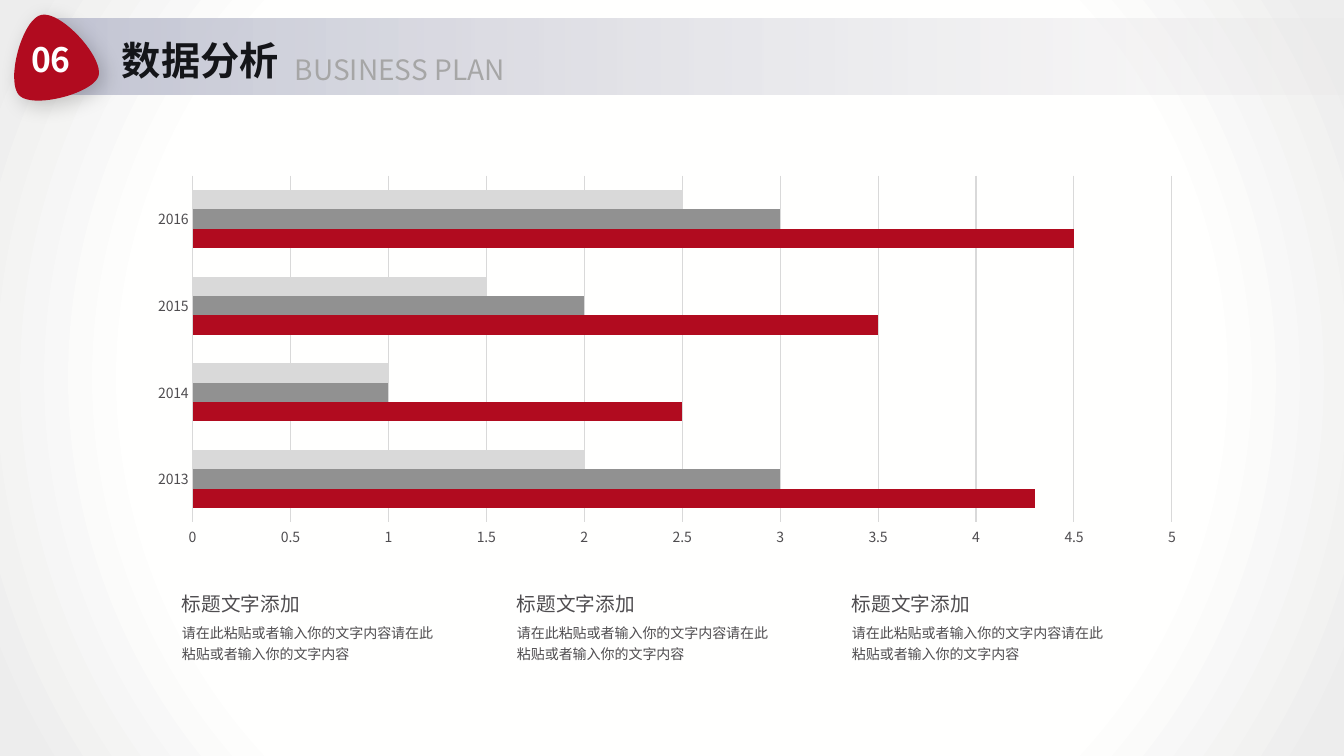
from math import cos, radians, sin

from lxml.etree import SubElement
from pptx import Presentation
from pptx.chart.data import CategoryChartData
from pptx.dml.color import RGBColor
from pptx.enum.chart import XL_CHART_TYPE as ChartType, XL_TICK_MARK as Tick
from pptx.enum.shapes import MSO_SHAPE as Shape
from pptx.enum.text import MSO_AUTO_SIZE as AutoSize, PP_ALIGN as Align
from pptx.oxml.ns import qn
from pptx.util import Emu, Pt

WIDTH, HEIGHT = 1344, 756
SCALE = 12192000 / WIDTH
RED, GREY, SILVER, TEXT = "B10B1F", "919191", "D9D9D9", "4F4D50"


def px(value):
    return Emu(round(value * SCALE))


def rgb(value):
    return RGBColor.from_string(value)


def add_node(parent, tag, **attributes):
    return SubElement(parent, qn(tag), {key: str(value) for key, value in attributes.items()})


def add_color(parent, value, alpha):
    color = add_node(parent, "a:srgbClr", val=value)
    if alpha < 100:
        add_node(color, "a:alpha", val=alpha * 1000)


def cubic(start, first, second, end, steps=24):
    for step in range(1, steps + 1):
        t = step / steps
        weights = ((1 - t) ** 3, 3 * t * (1 - t) ** 2, 3 * t * t * (1 - t), t ** 3)
        yield tuple(
            sum(weight * point[axis] for weight, point in zip(weights, (start, first, second, end)))
            for axis in (0, 1)
        )


class SlideBuilder:
    font_name = "Noto Sans CJK SC"

    def __init__(self, deck):
        self.page = deck.slides.add_slide(deck.slide_layouts[6])
        self.shapes = self.page.shapes

    def style(self, font, size, color, bold=False):
        formats = {"name": self.font_name, "size": Pt(size), "bold": bold}
        for name, value in formats.items():
            setattr(font, name, value)
        font.color.rgb = rgb(color)

    def gradient(self, left, top, width, height, stops, radial=False):
        shape = self.shapes.add_shape(Shape.RECTANGLE, *map(px, (left, top, width, height)))
        shape.shadow.inherit = False
        shape.line.fill.background()
        shape.fill.gradient()
        fill = shape._element.spPr.find(qn("a:gradFill"))
        for child in list(fill):
            fill.remove(child)
        stop_list = add_node(fill, "a:gsLst")
        for position, color, alpha in stops:
            add_color(add_node(stop_list, "a:gs", pos=position * 1000), color, alpha)
        if radial:
            route = add_node(fill, "a:path", path="circle")
            add_node(route, "a:fillToRect", l=50000, t=50000, r=50000, b=50000)
        else:
            add_node(fill, "a:lin", ang=0, scaled=0)

    def text(self, left, top, width, height, words, size, color, bold=False,
             align=Align.LEFT, spacing=1.0, wrap=False):
        box = self.shapes.add_textbox(*map(px, (left, top, width, height)))
        frame = box.text_frame
        frame.word_wrap = wrap
        frame.auto_size = AutoSize.NONE if wrap else AutoSize.SHAPE_TO_FIT_TEXT
        para = frame.paragraphs[0]
        for name, value in {"alignment": align, "line_spacing": spacing}.items():
            setattr(para, name, value)
        span = para.add_run()
        span.text = words
        self.style(span.font, size, color, bold)
        add_node(span.font._element, "a:ea", typeface=self.font_name)

    def bar_chart(self, left, top, width, height, categories, series):
        data = CategoryChartData()
        data.categories = categories
        for name, values, _ in series:
            data.add_series(name, values)
        box = map(px, (left, top, width, height))
        chart = self.shapes.add_chart(ChartType.BAR_CLUSTERED, *box, data).chart
        chart.has_title = chart.has_legend = False
        self.style(chart.font, 10, TEXT)
        plot = chart.plots[0]
        for name, value in {"gap_width": 150, "overlap": 0, "vary_by_categories": False}.items():
            setattr(plot, name, value)
        for bars, (_, _, color) in zip(plot.series, series):
            bars.format.fill.solid()
            bars.format.fill.fore_color.rgb = rgb(color)
        for axis in (chart.category_axis, chart.value_axis):
            axis.major_tick_mark = axis.minor_tick_mark = Tick.NONE
            axis.format.line.fill.background()
        scale = {"minimum_scale": 0, "maximum_scale": 5, "major_unit": 0.5}
        for name, value in scale.items():
            setattr(chart.value_axis, name, value)
        chart.category_axis.has_major_gridlines = False
        grid = chart.value_axis.major_gridlines.format.line
        grid.color.rgb = rgb(SILVER)
        grid.width = Pt(0.75)

    def badge(self, start, curves, center, turn, color):
        outline = [start]
        for curve in curves:
            outline.extend(cubic(outline[-1], *curve))
        angle = radians(turn)
        points = []
        for x, y in outline:
            dx, dy = x - center[0], y - center[1]
            points.append((px(center[0] + dx * cos(angle) - dy * sin(angle)),
                           px(center[1] + dx * sin(angle) + dy * cos(angle))))
        builder = self.shapes.build_freeform(*points[0])
        builder.add_line_segments(points[1:], close=True)
        shape = builder.convert_to_shape()
        shape.rotation = 360 - turn
        shape.fill.solid()
        shape.fill.fore_color.rgb = rgb(color)
        shape.line.fill.background()
        shape.shadow.inherit = False
        effects = shape._element.spPr.find(qn("a:effectLst"))
        shadow = add_node(effects, "a:outerShdw", blurRad=Pt(15), dist=Pt(5),
                          dir=45 * 60000, algn="tl", rotWithShape=0)
        add_color(shadow, "000000", 20)


def main():
    deck = Presentation()
    deck.slide_width, deck.slide_height = px(WIDTH), px(HEIGHT)
    slide = SlideBuilder(deck)

    backdrop = [(0, "FFFFFE", 100), (23, "FFFFFE", 100), (69, "FFFFFE", 100), (97, "EDEDED", 100)]
    slide.gradient(0, 0, WIDTH, HEIGHT, backdrop, radial=True)

    series = [
        ("Series 1", (4.3, 2.5, 3.5, 4.5), RED),
        ("Series 2", (3, 1, 2, 3), GREY),
        ("Series 3", (2, 1, 1.5, 2.5), SILVER),
    ]
    slide.bar_chart(137, 168, 1060, 386, ["2013", "2014", "2015", "2016"], series)

    caption = "请在此粘贴或者输入你的文字内容" * 2
    for column in range(3):
        left = 172 + 335 * column
        slide.text(left, 581, 222, 37, "标题文字添加", 14, TEXT, spacing=1.25, wrap=True)
        slide.text(left, 615, 278, 62, caption, 10, TEXT, spacing=1.25, wrap=True)

    slide.gradient(36, 19, WIDTH - 36, 76, [(0, "C3C5D4", 100), (100, "E7E5E6", 20)])
    slide.text(285, 48, 239, 44, "BUSINESS PLAN", 20, "A6A6A6")
    slide.text(112, 31, 179, 57, "数据分析", 28, "141519", bold=True)
    curves = [
        ((6, 80), (22, 20), (41, 15)),
        ((60, 10), (101, 54), (99, 74)),
        ((98, 92), (33, 110), (19, 95)),
    ]
    slide.badge((19, 95), curves, (51, 56), 15, RED)
    slide.text(20, 34, 62, 50, "06", 24, "FFFFFF", bold=True, align=Align.CENTER)

    deck.save("out.pptx")


if __name__ == "__main__":
    main()
